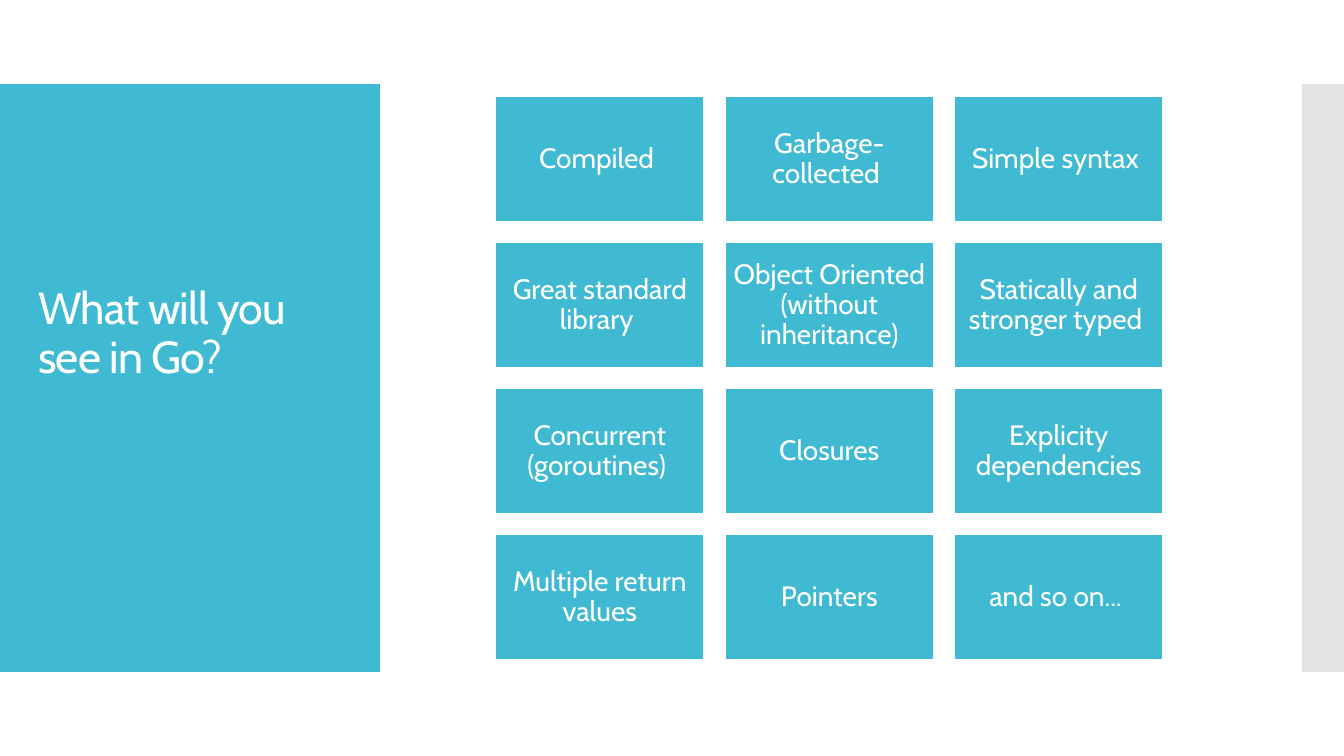
import pptx
import pptx.util
import pptx.dml.color
import pptx.enum.shapes
import pptx.enum.text
import pptx.oxml.ns
import lxml.etree

Pt = pptx.util.Pt
ANCHOR = pptx.enum.text.MSO_ANCHOR
ALIGN = pptx.enum.text.PP_ALIGN

TITLE = "What will you see in Go?"
FEATURES = [
    ["Compiled ", "Garbage-collected ", "Simple syntax "],
    ["Great standard library ", "Object Oriented (without inheritance)", "Statically and stronger typed "],
    ["Concurrent (goroutines) ", "Closures", "Explicity dependencies"],
    ["Multiple return values", "Pointers", "and so on... "],
]
COLOURS = {"teal": "40BAD2", "grey": "C8C8C8", "white": "FFFFFF"}
FONT = "Cabin"

SLIDE_WIDTH, SLIDE_HEIGHT = 960, 540
BAND_TOP, BAND_HEIGHT = 60, 420
PANEL_WIDTH, STRIP_WIDTH = 271.4, 30
GRID_LEFT, GRID_TOP = 354, 69
TILE_WIDTH, TILE_HEIGHT = 149, 89.4
COLUMN_STEP, ROW_STEP = 163.9, 104.3


def rgb(colour):
    return pptx.dml.color.RGBColor.from_string(COLOURS[colour])


def add_rectangle(slide, left, top, width, height, colour, outline=None):
    rectangle = slide.shapes.add_shape(
        pptx.enum.shapes.MSO_SHAPE.RECTANGLE, Pt(left), Pt(top), Pt(width), Pt(height))
    rectangle.shadow.inherit = False
    rectangle.fill.solid()
    rectangle.fill.fore_color.rgb = rgb(colour)
    if outline:
        rectangle.line.color.rgb = rgb(outline)
        rectangle.line.width = Pt(0.85)
    else:
        rectangle.line.fill.background()
    return rectangle


def write(holder, text, size, align, anchor, inset_x, inset_y, tracking=0):
    frame = holder.text_frame
    frame.word_wrap = True
    frame.vertical_anchor = anchor
    frame.margin_left = frame.margin_right = Pt(inset_x)
    frame.margin_top = frame.margin_bottom = Pt(inset_y)
    paragraph = frame.paragraphs[0]
    paragraph.alignment = align
    paragraph.line_spacing = 0.9
    run = paragraph.add_run()
    run.text = text
    run.font.size = Pt(size)
    run.font.name = FONT
    run.font.color.rgb = rgb("white")
    if tracking:
        run.font._element.set("spc", str(round(tracking * 100)))


def set_opacity(shape, percent):
    colour = shape._element.spPr.find(".//" + pptx.oxml.ns.qn("a:srgbClr"))
    alpha = lxml.etree.SubElement(colour, pptx.oxml.ns.qn("a:alpha"))
    alpha.set("val", str(percent * 1000))


def main():
    deck = pptx.Presentation()
    deck.slide_width, deck.slide_height = Pt(SLIDE_WIDTH), Pt(SLIDE_HEIGHT)
    slide = deck.slides.add_slide(deck.slide_layouts[6])

    add_rectangle(slide, 0, BAND_TOP, PANEL_WIDTH, BAND_HEIGHT, "teal")
    strip = add_rectangle(slide, SLIDE_WIDTH - STRIP_WIDTH, BAND_TOP, STRIP_WIDTH, BAND_HEIGHT, "grey")
    set_opacity(strip, 50)

    title = slide.shapes.add_textbox(Pt(20.2), Pt(90), Pt(223.2), Pt(187.2))
    write(title, TITLE, size=32, align=ALIGN.LEFT, anchor=ANCHOR.BOTTOM,
          inset_x=7.2, inset_y=3.6, tracking=-0.6)

    for row, features in enumerate(FEATURES):
        for column, feature in enumerate(features):
            tile = add_rectangle(
                slide, GRID_LEFT + column * COLUMN_STEP, GRID_TOP + row * ROW_STEP,
                TILE_WIDTH, TILE_HEIGHT, "teal", outline="white")
            write(tile, feature, size=20, align=ALIGN.CENTER, anchor=ANCHOR.MIDDLE,
                  inset_x=6, inset_y=6)

    deck.save("out.pptx")


if __name__ == "__main__":
    main()
